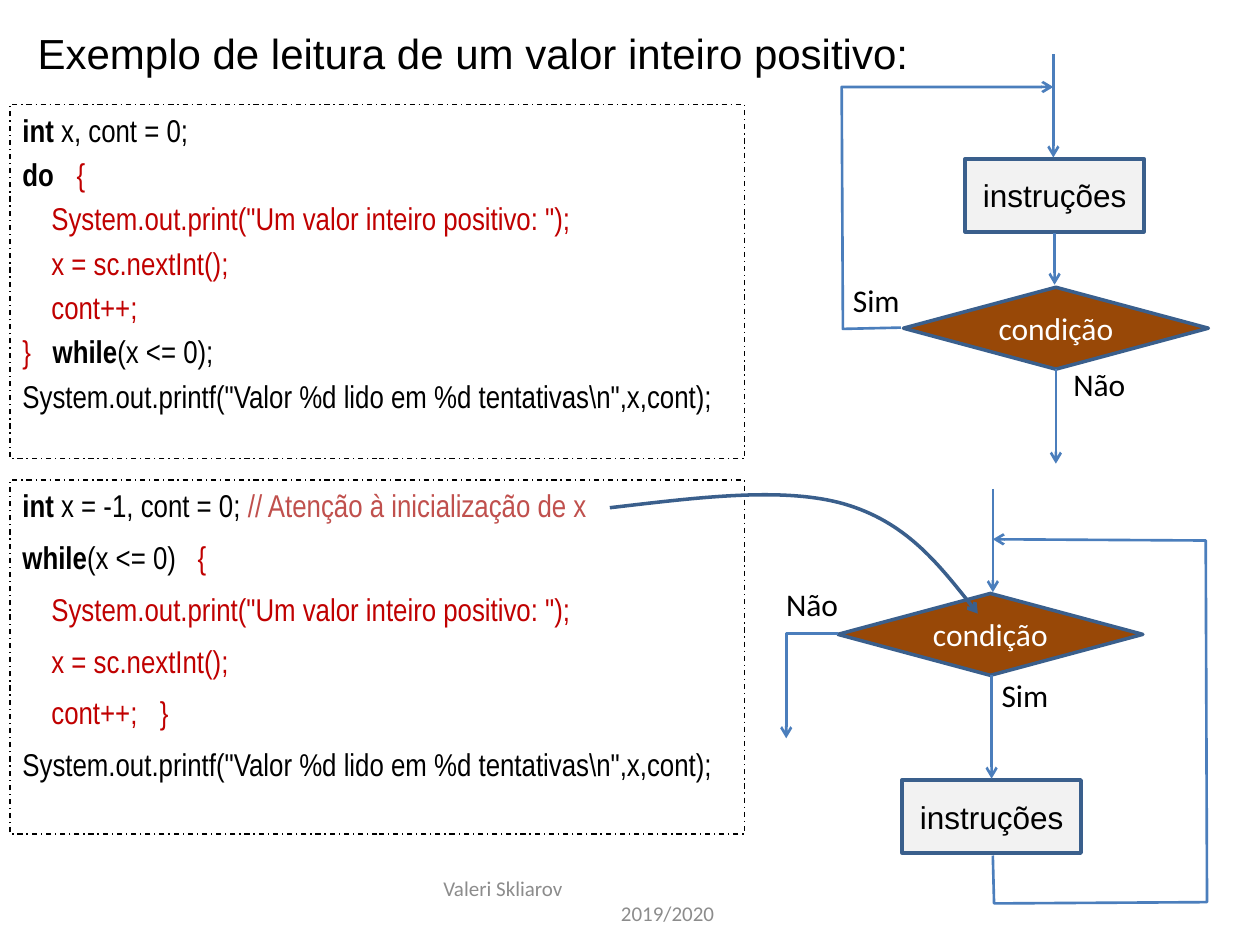
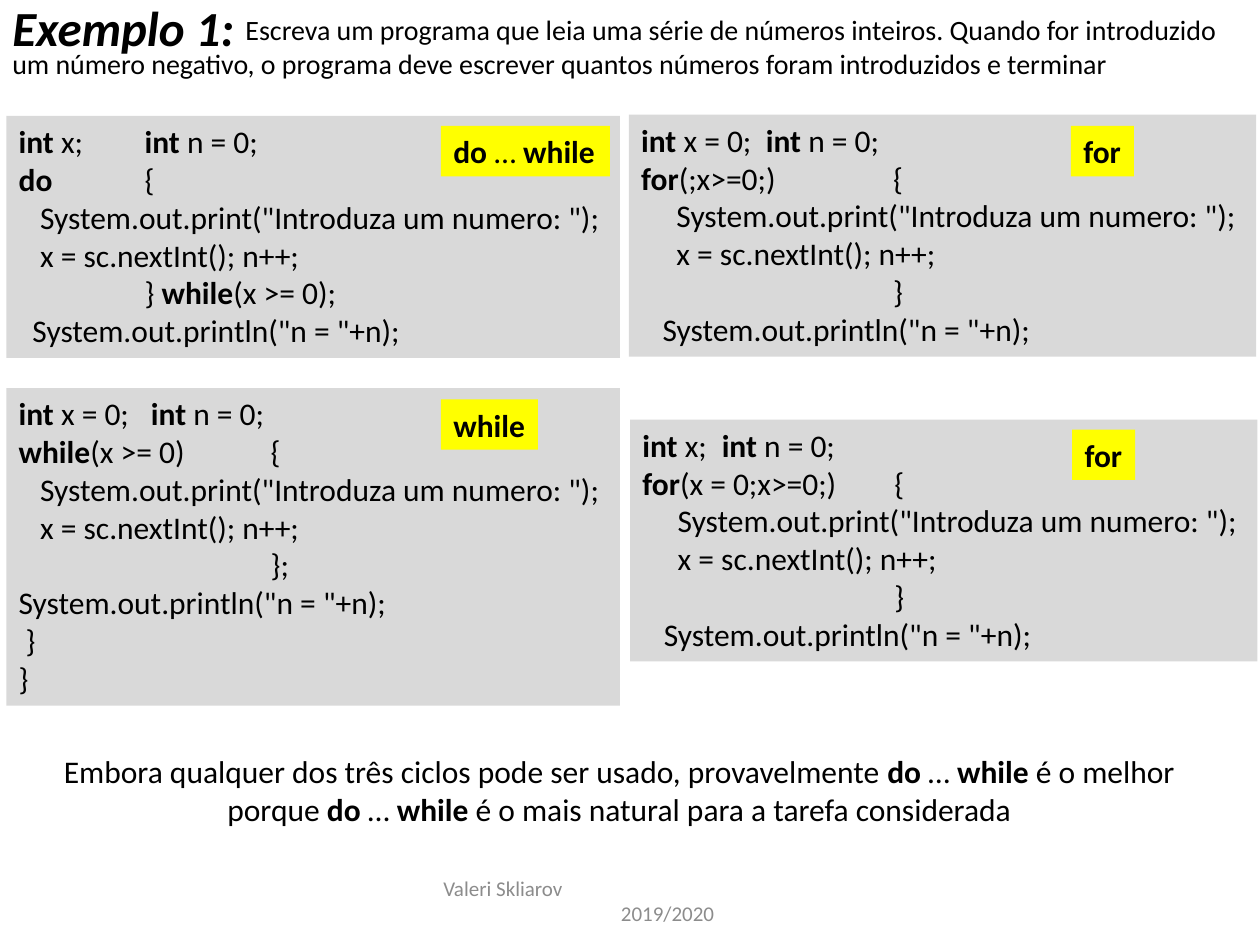
"""Builds two slides on Java loops: flow charts beside code, and one task solved four ways."""
from lxml import etree
from pptx import Presentation
from pptx import util as u
from pptx.dml.color import RGBColor
from pptx.enum import dml, shapes, text
from pptx.oxml.ns import qn

BLACK, WHITE, RED, ROSE = "000000", "FFFFFF", "C00000", "C0504D"
BROWN, PALE, GREY, YELLOW = "984807", "F2F2F2", "D9D9D9", "FFFF00"
EDGE, WIRE, DIM = "3A5F8C", "4B7EBC", "8C8C8C"
BODY, SANS, CODE = "Calibri", "Arial", "Arial Narrow"

MARKS = {"*": (True, None), "~": (False, RED), "^": (False, ROSE)}

FOOT = [((), "Valeri Skliarov"), ((1.41,), "\t2019/2020")]
TITLE = "Exemplo de leitura de um valor inteiro positivo:"
READ = [((0.23,), '~\tSystem.out.print("Um valor inteiro positivo: ");'),
        ((0.23,), "~\tx = sc.nextInt();")]
SHOW = [((), 'System.out.printf("Valor %d lido em %d tentativas\\n",x,cont);')]
LOOPS = [
    (0.83, 3.7, [((), "*int| x, cont = 0;"), ((0.43,), "*do|~\t{"), *READ,
                 ((0.23,), "~\tcont++;"), ((0.24,), "~}\t|*while|(x <= 0);"), *SHOW]),
    (3.81, 8, [((), "*int| x = -1, cont = 0; |^// Atenção à inicialização de x"),
               ((1.39,), "*while|(x <= 0)|~\t{"), *READ,
               ((0.23, 1.09), "~\tcont++;\t}"), *SHOW]),
]
TESTS = [(7.17, 2.28), (6.65, 4.71)]
STEPS = [(7.66, 1.26), (7.16, 6.19)]
TAGS = [("Sim", 6.67, 2.18), ("Não", 8.42, 2.85), ("Sim", 7.85, 5.32), ("Não", 6.14, 4.59)]
ARROWS = [(8.37, 1.85, 2.26), (8.36, 0.43, 1.25), (8.38, 2.93, 3.68),
          (7.87, 5.36, 6.18), (7.88, 3.88, 4.7)]
BACKS = [[(7.15, 2.6), (6.69, 2.61), (6.68, 0.69), (8.36, 0.69)],
         [(7.88, 6.79), (7.89, 7.17), (9.58, 7.16), (9.57, 4.29), (7.88, 4.28)]]
EXIT = (6.65, 5.03, 6.24, 5.86)
CURVE = [(4.84, 4.03), (5.53, 3.95), (6.21, 3.86), (6.7, 4),
         (7.18, 4.14), (7.47, 4.5), (7.76, 4.87)]

TASK = ("Escreva um programa que leia uma série de números inteiros. Quando for introduzido "
        "um número negativo, o programa deve escrever quantos números foram introduzidos "
        "e terminar")
END = ("Embora qualquer dos três ciclos pode ser usado, provavelmente |*do| … |*while"
       "| é o melhor porque |*do| … |*while| é o mais natural para a tarefa considerada")


def core(step):
    return [((step,), '\tSystem.out.print("Introduza um numero: ");'),
            ((step,), "\tx = sc.nextInt(); n++;")]


def out(step):
    return ((step,), '\tSystem.out.println("n = "+n);')


def loop(first, stop, head):
    return [((stop,), first), ((2,), head), *core(0.28), ((2,), "\t}"), out(0.17)]


PANELS = [
    (0.05, 0.92, 4.87, 1.92, [((1,), "*int |x;\t|*int| n = 0;"), ((1,), "*do\t|{"),
                              *core(0.17), ((1,), "\t} |*while|(x >= 0);"), out(0.11)]),
    (0.05, 3.08, 4.87, 2.52, [((1.05,), "*int| x = 0;\t|*int| n = 0;"),
                              ((2,), "*while|(x >= 0)\t{"), *core(0.17), ((2,), "\t};"),
                              ((), 'System.out.println("n = "+n);'), ((), " }"), ((), "}")]),
    (4.99, 0.91, 4.98, 1.92, loop("*int| x = 0;\t|*int| n = 0;", 0.99, "*for|(;x>=0;)\t{")),
    (5, 3.33, 4.98, 1.92, loop("*int| x;\t|*int| n = 0;", 0.63, "*for|(x = 0;x>=0;)\t{")),
]
NAMES = [("*do| … |*while", 3.5, 1, 1.34), ("*while", 3.5, 3.17, 0.77),
         ("*for", 8.5, 1, 0.5), ("*for", 8.51, 3.41, 0.5)]


def paint(tone):
    return RGBColor.from_string(tone)


def write(shape, lines, size=18, face=BODY, tone=BLACK, mid=False, wrap=False, gap=0,
          lead=0, slant=False):
    if isinstance(lines, str):
        lines = [((), lines)]
    frame = shape.text_frame
    frame.word_wrap = wrap
    if not wrap:
        frame.auto_size = text.MSO_AUTO_SIZE.SHAPE_TO_FIT_TEXT
    frame.vertical_anchor = text.MSO_ANCHOR.TOP
    for n, (stops, line) in enumerate(lines):
        para = frame.add_paragraph() if n else frame.paragraphs[0]
        para.alignment = text.PP_ALIGN.CENTER if mid else text.PP_ALIGN.LEFT
        para.space_before = u.Pt(gap)
        props = para._p.get_or_add_pPr()
        if lead:
            props.set("indent", str(u.Inches(lead)))
        if stops:
            tabs = etree.SubElement(props, qn("a:tabLst"))
            for stop in stops:
                etree.SubElement(tabs, qn("a:tab"), pos=str(u.Inches(stop)), algn="l")
        for part in line.split("|"):
            bold, hue = MARKS.get(part[0], (False, None))
            run = para.add_run()
            run.text = part[1:] if part[0] in MARKS else part
            form = {"size": u.Pt(size), "name": face, "bold": bold, "italic": slant}
            for key, val in form.items():
                setattr(run.font, key, val)
            run.font.color.rgb = paint(hue or tone)
    return frame


def label(slide, box, lines, **form):
    return write(slide.shapes.add_textbox(*map(u.Inches, box)), lines, **form)


def block(slide, kind, box, fill=None, line=None, wide=2):
    shape = slide.shapes.add_shape(kind, *map(u.Inches, box))
    shape.shadow.inherit = False
    if fill:
        shape.fill.solid()
        shape.fill.fore_color.rgb = paint(fill)
    else:
        shape.fill.background()
    if line:
        shape.line.color.rgb = paint(line)
        shape.line.width = u.Pt(wide)
    else:
        shape.line.fill.background()
    return shape


def point(item, tone=WIRE, wide=1.5):
    item.line.color.rgb = paint(tone)
    item.line.width = u.Pt(wide)
    etree.SubElement(item.line._get_or_add_ln(), qn("a:tailEnd"), type="arrow")


def wire(slide, kind, ends):
    item = slide.shapes.add_connector(kind, *map(u.Inches, ends))
    point(item)
    etree.SubElement(item._element.spPr, qn("a:effectLst"))
    return item


def trace(slide, dots, **form):
    first, *rest = [(u.Inches(x), u.Inches(y)) for x, y in dots]
    pen = slide.shapes.build_freeform(*first)
    pen.add_line_segments(rest, close=False)
    item = pen.convert_to_shape()
    item.shadow.inherit = False
    item.fill.background()
    point(item, **form)
    return item


def bend(item):
    legs = list(item._element.iter(qn("a:lnTo")))
    for n in range(0, len(legs), 3):
        trio = legs[n:n + 3]
        curve = etree.Element(qn("a:cubicBezTo"))
        trio[0].addprevious(curve)
        for leg in trio:
            curve.append(leg[0])
            leg.getparent().remove(leg)


def page(deck):
    slide = deck.slides.add_slide(deck.slide_layouts[6])
    label(slide, (3.42, 6.9, 3.17, 0.5), FOOT, size=12, tone=DIM, wrap=True)
    return slide


def charts(slide):
    kind, link = shapes.MSO_SHAPE, shapes.MSO_CONNECTOR
    label(slide, (0.2, 0.17, 7.19, 0.52), TITLE, size=24, face=SANS)
    for top, gap, lines in LOOPS:
        box = block(slide, kind.RECTANGLE, (0.08, top, 5.83, 2.81), line=BLACK, wide=0.75)
        box.line.dash_style = dml.MSO_LINE.DASH_DOT
        write(box, lines, face=CODE, wrap=True, gap=gap)
    nodes = [(kind.FLOWCHART_DECISION, TESTS, (2.42, 0.65), BROWN, "condição", BODY, WHITE),
             (kind.RECTANGLE, STEPS, (1.42, 0.58), PALE, "instruções", SANS, BLACK)]
    for form, spots, size, fill, word, face, tone in nodes:
        for spot in spots:
            node = block(slide, form, spot + size, fill, EDGE)
            frame = write(node, word, face=face, tone=tone, mid=True, wrap=True)
            frame.vertical_anchor = text.MSO_ANCHOR.MIDDLE
    for word, left, top in TAGS:
        label(slide, (left, top, 0.58 if word == "Sim" else 0.62, 0.4), word)
    for x, top, low in ARROWS:
        wire(slide, link.STRAIGHT, (x, top, x, low))
    for dots in BACKS:
        trace(slide, dots)
    elbow = wire(slide, link.ELBOW, EXIT)
    elbow._element.spPr.find(qn("a:prstGeom")).set("prst", "bentConnector2")
    bend(trace(slide, CURVE, tone=EDGE, wide=2))


def task(slide):
    rect = shapes.MSO_SHAPE.RECTANGLE
    label(slide, (0, -0.07, 2, 0.57), "*Exemplo 1:", size=28, slant=True)
    label(slide, (0, 0.05, 10, 0.64), TASK, size=16, wrap=True, lead=1.85)
    for *box, lines in PANELS:
        write(block(slide, rect, box, GREY), lines)
    for word, left, top, wide in NAMES:
        write(block(slide, rect, (left, top, wide, 0.4), YELLOW), word)
    label(slide, (0.33, 5.92, 9.17, 0.71), END, mid=True, wrap=True)


def main():
    deck = Presentation()
    deck.slide_width, deck.slide_height = u.Inches(10), u.Inches(7.5)
    charts(page(deck))
    task(page(deck))
    deck.save("out.pptx")


if __name__ == "__main__":
    main()
